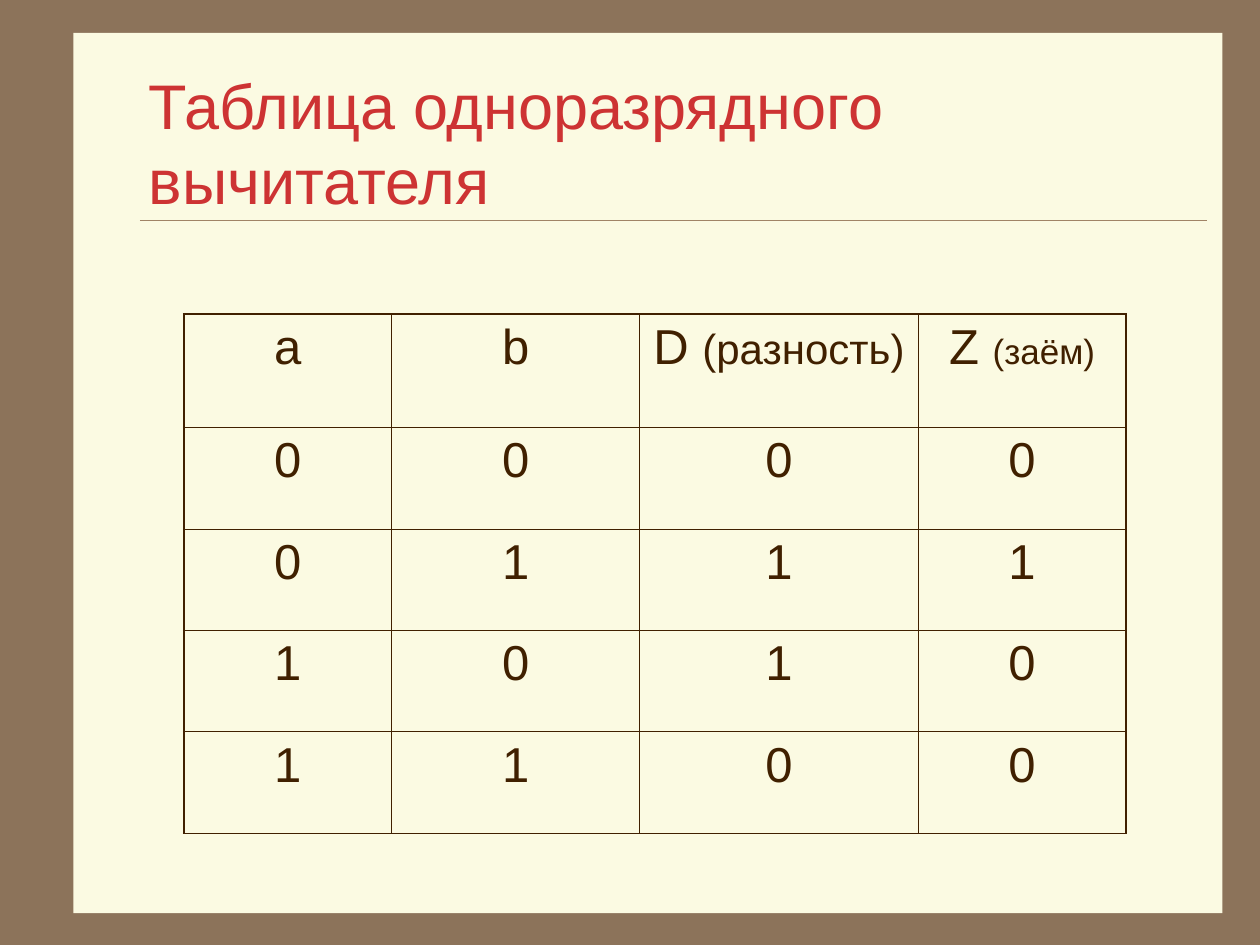
import pptx
import pptx.util
import pptx.dml.color
import pptx.enum.shapes
import pptx.enum.text
import pptx.oxml.ns
from dataclasses import dataclass
from lxml import etree

Pt = pptx.util.Pt
RGB = pptx.dml.color.RGBColor.from_string
qn = pptx.oxml.ns.qn


@dataclass(frozen=True)
class Theme:
    font: str = "Arial"
    frame: str = "8C735A"
    paper: str = "FBFAE2"
    rule: str = "A08366"
    title: str = "CD3333"
    ink: str = "402000"
    head: int = 36
    body: int = 28
    mid: int = 24
    small: int = 20
    thin: float = 0.45
    thick: float = 1.08


THEME = Theme()
WIDTHS = (118.8, 141.8, 159.1, 118.8)
HEIGHTS = (64.8, 58, 58, 58, 58)
HEADS = (
    [("a", THEME.body)],
    [("b", THEME.body)],
    [("D ", THEME.body), ("(разность)", THEME.mid)],
    [("Z ", THEME.body), ("(заём)", THEME.small)],
)
BITS = ("0000", "0111", "1010", "1100")


def style(run, size, color):
    run.font.name = THEME.font
    run.font.size = Pt(size)
    run.font.color.rgb = RGB(color)


def add_paper(slide, left, top, width, height):
    sheet = slide.shapes.add_shape(
        pptx.enum.shapes.MSO_SHAPE.RECTANGLE,
        Pt(left), Pt(top), Pt(width), Pt(height))
    sheet.shadow.inherit = False
    sheet.fill.solid()
    sheet.fill.fore_color.rgb = RGB(THEME.paper)
    sheet.line.fill.background()


def add_rule(slide, left, top, width):
    rule = slide.shapes.add_connector(
        pptx.enum.shapes.MSO_CONNECTOR.STRAIGHT,
        Pt(left), Pt(top), Pt(left + width), Pt(top))
    rule.line.color.rgb = RGB(THEME.rule)
    rule.line.width = Pt(0.25)
    etree.SubElement(rule._element.spPr, qn("a:effectLst"))


def add_title(slide, text, left, top, width, height):
    frame = slide.shapes.add_textbox(
        Pt(left), Pt(top), Pt(width), Pt(height)).text_frame
    frame.word_wrap = True
    frame.vertical_anchor = pptx.enum.text.MSO_ANCHOR.MIDDLE
    frame.text = text
    style(frame.paragraphs[0].runs[0], THEME.head, THEME.title)


def set_edge(cell, side, width):
    """Draw one border of a cell; side is L, R, T or B."""
    props = cell._tc.get_or_add_tcPr()
    edge = etree.SubElement(props, qn(f"a:ln{side}"), w=str(Pt(width)))
    fill = etree.SubElement(edge, qn("a:solidFill"))
    etree.SubElement(fill, qn("a:srgbClr"), val=THEME.ink)


def fill_cell(cell, parts, outer):
    """Write (text, size) parts; outer tells which sides lie on the rim."""
    for side, rim in outer.items():
        set_edge(cell, side, THEME.thick if rim else THEME.thin)
    cell.fill.background()
    para = cell.text_frame.paragraphs[0]
    para.alignment = pptx.enum.text.PP_ALIGN.CENTER
    for text, size in parts:
        run = para.add_run()
        run.text = text
        style(run, size, THEME.ink)


def add_truth(slide, left, top, width, height):
    rows = [HEADS] + [[[(bit, THEME.body)] for bit in line] for line in BITS]
    grid = slide.shapes.add_table(
        len(rows), len(WIDTHS), Pt(left), Pt(top), Pt(width), Pt(height)).table
    grid.first_row = grid.horz_banding = False
    for col, share in zip(grid.columns, WIDTHS):
        col.width = Pt(width * share / sum(WIDTHS))
    for row, share in zip(grid.rows, HEIGHTS):
        row.height = Pt(height * share / sum(HEIGHTS))
    for r, row in enumerate(rows):
        for c, parts in enumerate(row):
            outer = {"L": c == 0, "R": c == len(row) - 1,
                     "T": r == 0, "B": r == len(rows) - 1}
            fill_cell(grid.cell(r, c), parts, outer)


def main():
    deck = pptx.Presentation()
    deck.slide_width, deck.slide_height = Pt(720), Pt(540)
    slide = deck.slides.add_slide(deck.slide_layouts[6])
    slide.background.fill.solid()
    slide.background.fill.fore_color.rgb = RGB(THEME.frame)
    add_paper(slide, 41.9, 18.8, 656.6, 503)
    add_rule(slide, 80, 126, 610)
    add_title(slide, "Таблица одноразрядного вычитателя", 78, 36, 612, 90)
    add_truth(slide, 105, 179.4, 538.5, 296.8)
    deck.save("out.pptx")


if __name__ == "__main__":
    main()
